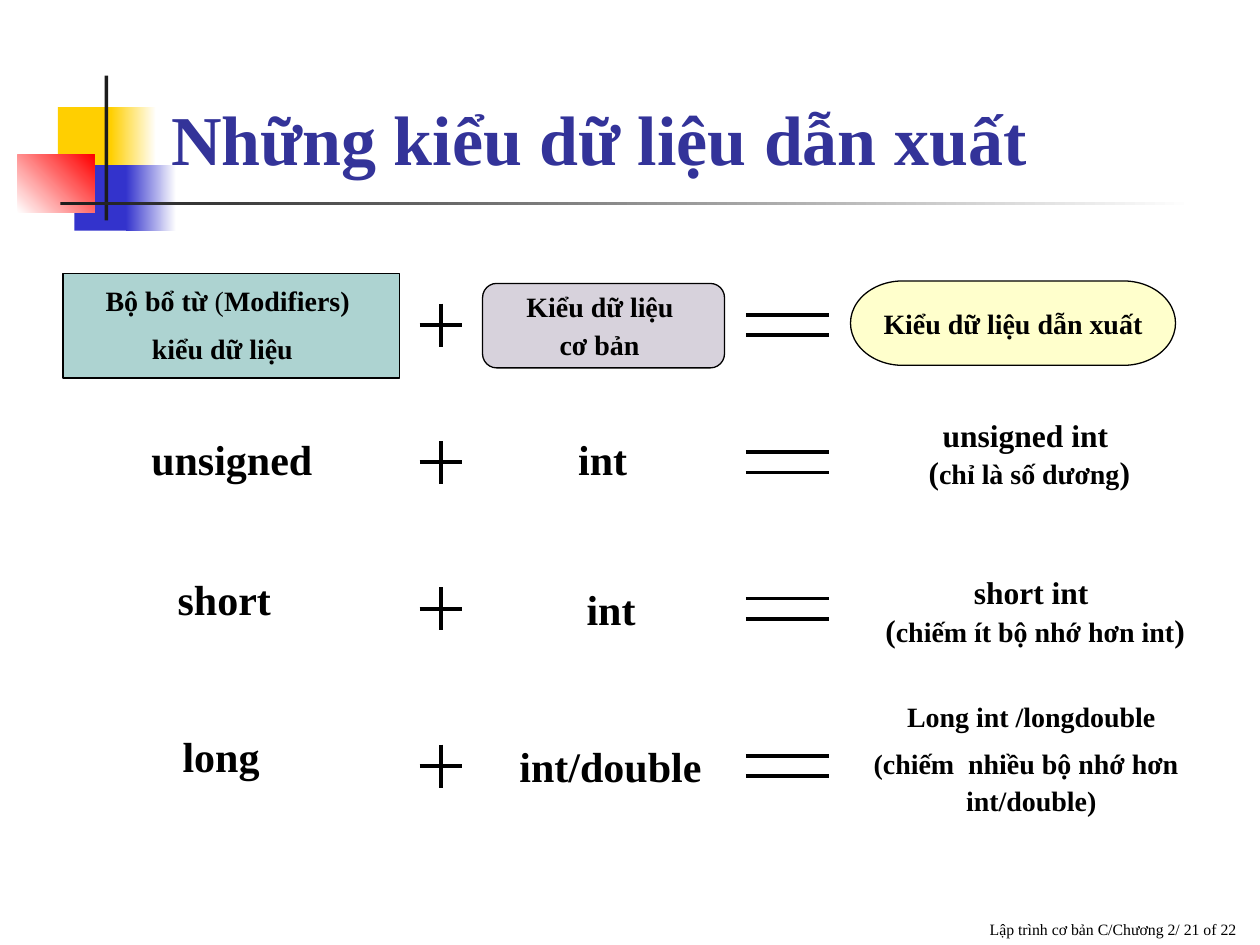
from pptx import Presentation
from pptx.util import Inches, Pt
from pptx.dml.color import RGBColor
from pptx.enum.shapes import MSO_SHAPE as Kind, MSO_CONNECTOR as Link
from pptx.enum.text import PP_ALIGN as Align, MSO_ANCHOR as Anchor
from pptx.oxml.ns import qn
from lxml import etree

deck = Presentation()
deck.slide_width, deck.slide_height = Inches(10), Inches(7.5)
slide = deck.slides.add_slide(deck.slide_layouts[6])
shapes = slide.shapes


def color(code):
    return RGBColor.from_string(code)


def write(shape, paras, align=Align.CENTER, anchor=Anchor.TOP, ink="000000"):
    frame = shape.text_frame
    frame.word_wrap = False
    frame.vertical_anchor = anchor
    for i, runs in enumerate(paras):
        para = frame.add_paragraph() if i else frame.paragraphs[0]
        para.alignment = align
        for text, size, bold in runs:
            run = para.add_run()
            run.text = text
            font = run.font
            font.name, font.size, font.bold = "Times New Roman", Pt(size), bold
            font.color.rgb = color(ink)


decor = [
    (0.46, 0.85, 0.48, 0.52, ["FFCF01"], 0),
    (0.88, 0.85, 0.36, 0.52, ["FFCF01", "FFFFFF"], 0),
    (0.59, 1.31, 0.46, 0.52, ["3333CC"], 0),
    (1, 1.31, 0.4, 0.52, ["3333CC", "FFFFFF"], 0),
    (0.14, 1.23, 0.61, 0.46, ["FFFFFF", "FF0000"], 45),
    (0.83, 0.6, 0.03, 1.15, ["1C1C1C"], 0),
    (0.48, 1.6, 9, 0.03, ["1C1C1C", "FFFFFF"], 0),
]
for x, y, w, h, tones, angle in decor:
    bar = shapes.add_shape(Kind.RECTANGLE, Inches(x), Inches(y), Inches(w), Inches(h))
    bar.shadow.inherit = False
    bar.line.fill.background()
    if len(tones) == 1:
        bar.fill.solid()
        bar.fill.fore_color.rgb = color(tones[0])
    else:
        bar.fill.gradient()
        bar.fill.gradient_angle = angle
        for stop, tone in zip(bar.fill.gradient_stops, tones):
            stop.color.rgb = color(tone)

title = shapes.add_textbox(Inches(1.26), Inches(0.58), Inches(8.41), Inches(0.89))
write(title, [[("Những kiểu dữ liệu dẫn xuất", 40, True)]], Align.LEFT, Anchor.BOTTOM, "333399")
foot = shapes.add_textbox(Inches(3.83), Inches(7), Inches(6.08), Inches(0.5))
write(foot, [[("Lập trình cơ bản C/Chương 2/ 21 of 22", 9, False)]], Align.RIGHT, Anchor.BOTTOM)

for mid in (2.58, 3.67, 4.83, 6.08):
    strokes = [
        (3.5, mid - 0.17, 3.5, mid + 0.17),
        (3.33, mid, 3.67, mid),
        (5.92, mid - 0.08, 6.58, mid - 0.08),
        (5.92, mid + 0.08, 6.58, mid + 0.08),
    ]
    for ends in strokes:
        line = shapes.add_connector(Link.STRAIGHT, *[Inches(v) for v in ends])
        line.line.color.rgb = color("000000")
        line.line.width = Pt(2.25)
        etree.SubElement(line._element.spPr, qn("a:effectLst"))

heads = [
    (Kind.RECTANGLE, 0.5, 2.17, 2.67, 0.83, "ADD3D1",
     [[("Bộ bổ từ", 16, True), (" (", 16, False), ("Modifiers) ", 16, True)],
      [("kiểu dữ liệu", 16, True), (" ", 24, False), (" ", 16, True)]]),
    (Kind.ROUNDED_RECTANGLE, 3.83, 2.25, 1.92, 0.67, "D7D2DC",
     [[("Kiểu dữ liệu ", 16, True)], [("cơ bản", 16, True), (" ", 18, True)]]),
    (Kind.FLOWCHART_TERMINATOR, 6.75, 2.23, 2.58, 0.67, "FFFFCC",
     [[("Kiểu dữ liệu dẫn xuất", 16, True)]]),
]
for kind, x, y, w, h, tone, paras in heads:
    head = shapes.add_shape(kind, Inches(x), Inches(y), Inches(w), Inches(h))
    head.shadow.inherit = False
    head.fill.solid()
    head.fill.fore_color.rgb = color(tone)
    head.line.color.rgb = color("000000")
    head.line.width = Pt(0.75)
    write(head, paras, anchor=Anchor.MIDDLE)

words = [
    (1.1, 3.39, 1.48, "unsigned"), (4.49, 3.39, 0.67, "int "),
    (1.31, 4.5, 0.94, "short"), (4.45, 4.58, 0.8, "int"),
    (1.35, 5.75, 0.81, "long"), (4.02, 5.83, 1.65, "int/double"),
]
for x, y, w, text in words:
    word = shapes.add_textbox(Inches(x), Inches(y), Inches(w), Inches(0.5))
    write(word, [[(text, 24, True)]])

notes = [
    (6.92, 3.25, 2.5, 0.7,
     [[("unsigned int ", 18, True)],
      [("(", 18, True), ("chỉ là số dương", 16, True), (")", 18, True)]]),
    (6.92, 4.5, 2.59, 0.7,
     [[("short int ", 18, True)],
      [("(", 18, True), ("chiếm ít bộ nhớ hơn int", 16, True), (")", 18, True)]]),
    (6.83, 5.5, 2.71, 1.03,
     [[("Long int /longdouble", 16, True)],
      [("(chiếm  nhiều bộ nhớ hơn", 16, True), (" ", 24, False)],
      [("int/double)", 16, True)]]),
]
for x, y, w, h, paras in notes:
    note = shapes.add_textbox(Inches(x), Inches(y), Inches(w), Inches(h))
    write(note, paras)

deck.save("out.pptx")
